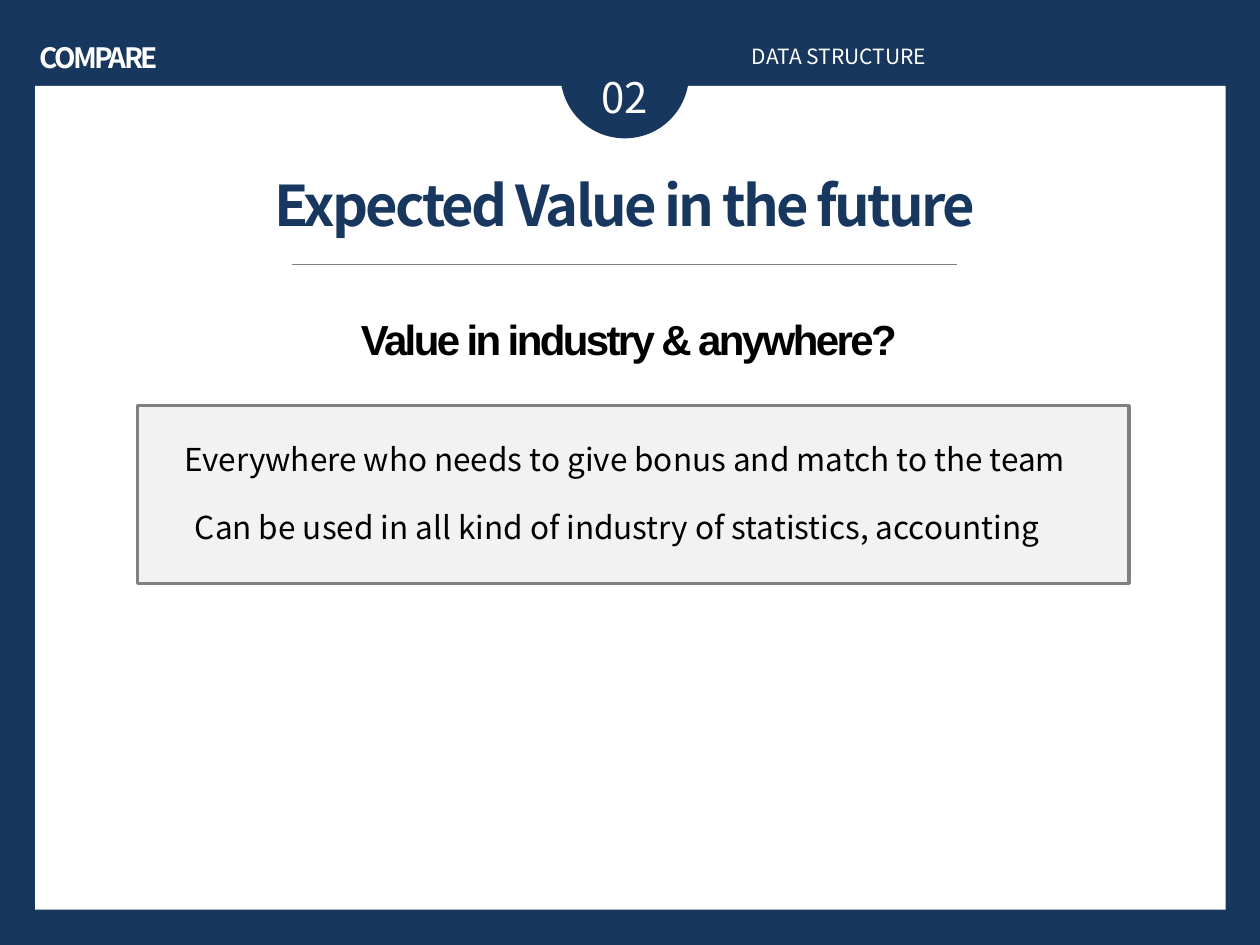
from pptx import Presentation
from pptx.dml.color import RGBColor
from pptx.enum.shapes import MSO_CONNECTOR as Connector, MSO_SHAPE as Shape
from pptx.enum.text import MSO_ANCHOR as Anchor, MSO_AUTO_SIZE as AutoSize, PP_ALIGN as Align
from pptx.oxml.ns import qn
from pptx.util import Cm, Pt

COLORS = {"navy": "17375E", "white": "FFFFFF", "black": "000000",
          "gray": "808080", "pale": "F2F2F2"}
SANS = "Noto Sans CJK KR"

# Content: boxes are left, top, width, height in cm
PANELS = [
    (Shape.RECTANGLE, (0.71, 1.73, 24, 16.61), "white", None),
    (Shape.OVAL, (11.3, 0.2, 2.59, 2.59), "navy", None),
    (Shape.RECTANGLE, (2.77, 8.18, 19.99, 3.58), "pale", "gray"),
]
RULE = (5.89, 5.33, 19.3, 5.33)
TITLE = ("Expected Value in the future", (4.95, 3.3, 15.29, 1.63),
         {"size": Pt(32), "bold": True, "name": SANS}, "navy", Align.CENTER, -150)
LABELS = [
    ("COMPARE", (0, 0.69, 3.99, 0.94),
     {"size": Pt(16), "bold": True, "name": SANS}, "white", Align.CENTER, -150),
    ("02", (11.1, 1.32, 3, 1.27),
     {"size": Pt(24), "name": SANS}, "white", Align.CENTER, 0),
    ("DATA STRUCTURE", (14.91, 0.76, 10.01, 0.76),
     {"size": Pt(12), "name": SANS}, "white", Align.JUSTIFY, 0),
    ("Value in industry & anywhere?", (2.77, 6.2, 19.81, 1.27),
     {"size": Pt(24), "bold": True, "name": "Arial"}, "black", Align.CENTER, -150),
]
# Each statement has its right indent in cm
STATEMENTS = [
    ("Everywhere who needs to give bonus and match to the team", 0),
    ("Can be used in all kind of industry of statistics, accounting", 0.3),
]
STATEMENT_BOX = (3.4, 8.74, 18.39, 2.57)
STATEMENT_FONT = {"size": Pt(18), "name": SANS}
STATEMENT_GAP = Pt(17.3)


def color(name):
    return RGBColor.from_string(COLORS[name])


def place(shape, box):
    for side, value in zip(("left", "top", "width", "height"), box):
        setattr(shape, side, Cm(value))


def set_frame(shape):
    frame = shape.text_frame
    settings = {"word_wrap": True, "auto_size": AutoSize.NONE,
                "vertical_anchor": Anchor.TOP}
    for key, value in settings.items():
        setattr(frame, key, value)
    return frame


def write(paragraph, text, font, color_name, align, spacing=0):
    paragraph.alignment = align
    run = paragraph.add_run()
    run.text = text
    for key, value in font.items():
        setattr(run.font, key, value)
    run.font.color.rgb = color(color_name)
    if spacing:
        run.font._element.set("spc", str(spacing))


def fill_label(shape, text, box, *style):
    place(shape, box)
    write(set_frame(shape).paragraphs[0], text, *style)


presentation = Presentation()
presentation.slide_width, presentation.slide_height = Cm(25.4), Cm(19.05)
slide = presentation.slides.add_slide(presentation.slide_layouts[1])
slide.background.fill.solid()
slide.background.fill.fore_color.rgb = color("navy")
shapes = slide.shapes
title, body = slide.placeholders

# Panels and number badge
for kind, box, fill, line in PANELS:
    panel = shapes.add_shape(kind, *map(Cm, box))
    panel.shadow.inherit = False
    panel.fill.solid()
    panel.fill.fore_color.rgb = color(fill)
    if line:
        panel.line.color.rgb = color(line)
        panel.line.width = Pt(2)
    else:
        panel.line.fill.background()

# Rule under the title
rule = shapes.add_connector(Connector.STRAIGHT, *map(Cm, RULE))
rule.line.color.rgb = color("gray")
rule.line.width = Pt(0.75)
properties = rule._element.spPr
properties.append(properties.makeelement(qn("a:effectLst"), {}))

# Title and body go in front of the panels
for placeholder in (title, body):
    shapes._spTree.append(placeholder._element)
fill_label(title, *TITLE)

# Statements
place(body, STATEMENT_BOX)
frame = set_frame(body)
for index, (text, indent) in enumerate(STATEMENTS):
    paragraph = frame.add_paragraph() if index else frame.paragraphs[0]
    settings = paragraph._element.get_or_add_pPr()
    for key, value in {"marL": 0, "marR": Cm(indent), "indent": 0}.items():
        settings.set(key, str(int(value)))
    settings.append(settings.makeelement(qn("a:buNone"), {}))
    paragraph.space_before = STATEMENT_GAP if index else Pt(0)
    write(paragraph, text, STATEMENT_FONT, "black", Align.CENTER)

# Header labels and subtitle
for label in LABELS:
    fill_label(shapes.add_textbox(0, 0, 0, 0), *label)

presentation.save("out.pptx")
